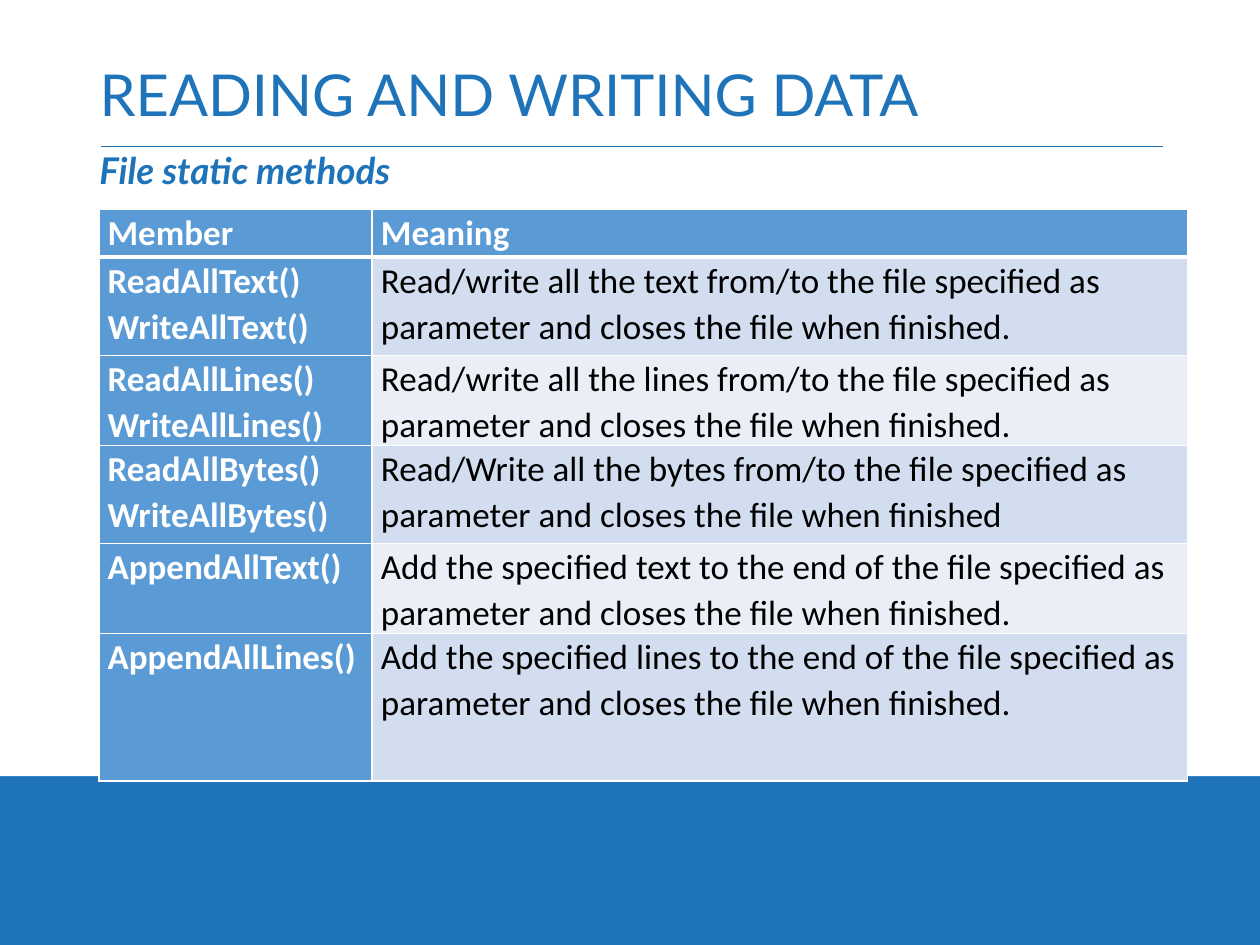
import pptx
import pptx.util
import pptx.dml.color
import pptx.enum.shapes
import pptx.enum.text
import pptx.oxml
import pptx.oxml.ns
from pptx.util import Pt

BLUE = pptx.dml.color.RGBColor(0x1E, 0x73, 0xB9)
WHITE = pptx.dml.color.RGBColor(0xFF, 0xFF, 0xFF)
BLACK = pptx.dml.color.RGBColor(0x00, 0x00, 0x00)
HEADER = pptx.dml.color.RGBColor(0x5B, 0x9B, 0xD5)
BANDS = [pptx.dml.color.RGBColor(0xEA, 0xEF, 0xF7), pptx.dml.color.RGBColor(0xD2, 0xDE, 0xEF)]

ROWS = [
    ("Member", "Meaning"),
    ("ReadAllText()\nWriteAllText()",
     "Read/write all the text from/to the file specified as parameter and closes the file when finished."),
    ("ReadAllLines()\nWriteAllLines()",
     "Read/write all the lines from/to the file specified as parameter and closes the file when finished."),
    ("ReadAllBytes()\nWriteAllBytes()",
     "Read/Write all the bytes from/to the file specified as parameter and closes the file when finished"),
    ("AppendAllText()",
     "Add the specified text to the end of the file specified as parameter and closes the file when finished."),
    ("AppendAllLines()",
     "Add the specified lines to the end of the file specified as parameter and closes the file when finished."),
]
ROW_HEIGHTS = [27.4, 56.2, 27.4, 56.2, 49.7, 84.2]
COLUMN_WIDTHS = [156.2, 465.8]


def style_paragraph(paragraph, font_name, size, color, bold, spacing):
    paragraph.alignment = pptx.enum.text.PP_ALIGN.LEFT
    paragraph.line_spacing = spacing
    paragraph.font.name = font_name
    paragraph.font.size = Pt(size)
    paragraph.font.color.rgb = color
    paragraph.font.bold = bold


def add_border(cell, position, side, width):
    border = pptx.oxml.parse_xml(
        f'<a:{side} {pptx.oxml.ns.nsdecls("a")} w="{Pt(width)}"><a:solidFill>'
        f'<a:srgbClr val="{WHITE}"/></a:solidFill></a:{side}>')
    cell._tc.get_or_add_tcPr().insert(position, border)


presentation = pptx.Presentation()
presentation.slide_width = Pt(720)
presentation.slide_height = Pt(540)
slide = presentation.slides.add_slide(presentation.slide_layouts[5])
slide.background.fill.solid()
slide.background.fill.fore_color.rgb = BLUE

panel = slide.shapes.add_shape(
    pptx.enum.shapes.MSO_SHAPE.RECTANGLE, Pt(0), Pt(0), Pt(720), Pt(443.5))
panel.shadow.inherit = False
panel.fill.solid()
panel.fill.fore_color.rgb = WHITE
panel.line.fill.background()
slide.shapes._spTree.insert(2, panel._element)

rule = slide.shapes.add_connector(
    pptx.enum.shapes.MSO_CONNECTOR.STRAIGHT, Pt(57.6), Pt(83.5), Pt(664.6), Pt(83.5))
rule.line.color.rgb = BLUE
rule.line.width = Pt(0.5)
rule._element.spPr.append(pptx.oxml.parse_xml(f'<a:effectLst {pptx.oxml.ns.nsdecls("a")}/>'))

title = slide.shapes.title
title.left, title.top, title.width, title.height = Pt(49.7), Pt(28.8), Pt(620.6), Pt(54.7)
title.text_frame.text = "READING AND WRITING DATA"
title.text_frame.vertical_anchor = pptx.enum.text.MSO_ANCHOR.MIDDLE
style_paragraph(title.text_frame.paragraphs[0], "Lato", 33, BLUE, False, 0.9)

subtitle = slide.shapes.add_textbox(Pt(49.7), Pt(83.5), Pt(620.6), Pt(32))
subtitle.text_frame.word_wrap = True
subtitle.text_frame.text = "File static methods"
subtitle_paragraph = subtitle.text_frame.paragraphs[0]
style_paragraph(subtitle_paragraph, "Lato", 21, BLUE, True, 0.9)
subtitle_paragraph.font.italic = True

table = slide.shapes.add_table(
    len(ROWS), 2, Pt(56.5), Pt(119.5), Pt(sum(COLUMN_WIDTHS)), Pt(sum(ROW_HEIGHTS))).table
for column, width in zip(table.columns, COLUMN_WIDTHS):
    column.width = Pt(width)
for row_index, texts in enumerate(ROWS):
    table.rows[row_index].height = Pt(ROW_HEIGHTS[row_index])
    for column_index, text in enumerate(texts):
        cell = table.cell(row_index, column_index)
        is_header = row_index == 0 or column_index == 0
        cell.margin_left = cell.margin_right = Pt(5)
        cell.margin_top = cell.margin_bottom = Pt(0)
        cell.fill.solid()
        cell.fill.fore_color.rgb = HEADER if is_header else BANDS[row_index % 2]
        top_width = 3 if row_index == 1 else 1
        bottom_width = 3 if row_index == 0 else 1
        borders = [("lnL", 1), ("lnR", 1), ("lnT", top_width), ("lnB", bottom_width)]
        for position, (side, width) in enumerate(borders):
            add_border(cell, position, side, width)
        cell.text_frame.text = text
        for paragraph in cell.text_frame.paragraphs:
            style_paragraph(paragraph, "Calibri", 20, WHITE if is_header else BLACK, is_header, 1.07)

presentation.save("out.pptx")
